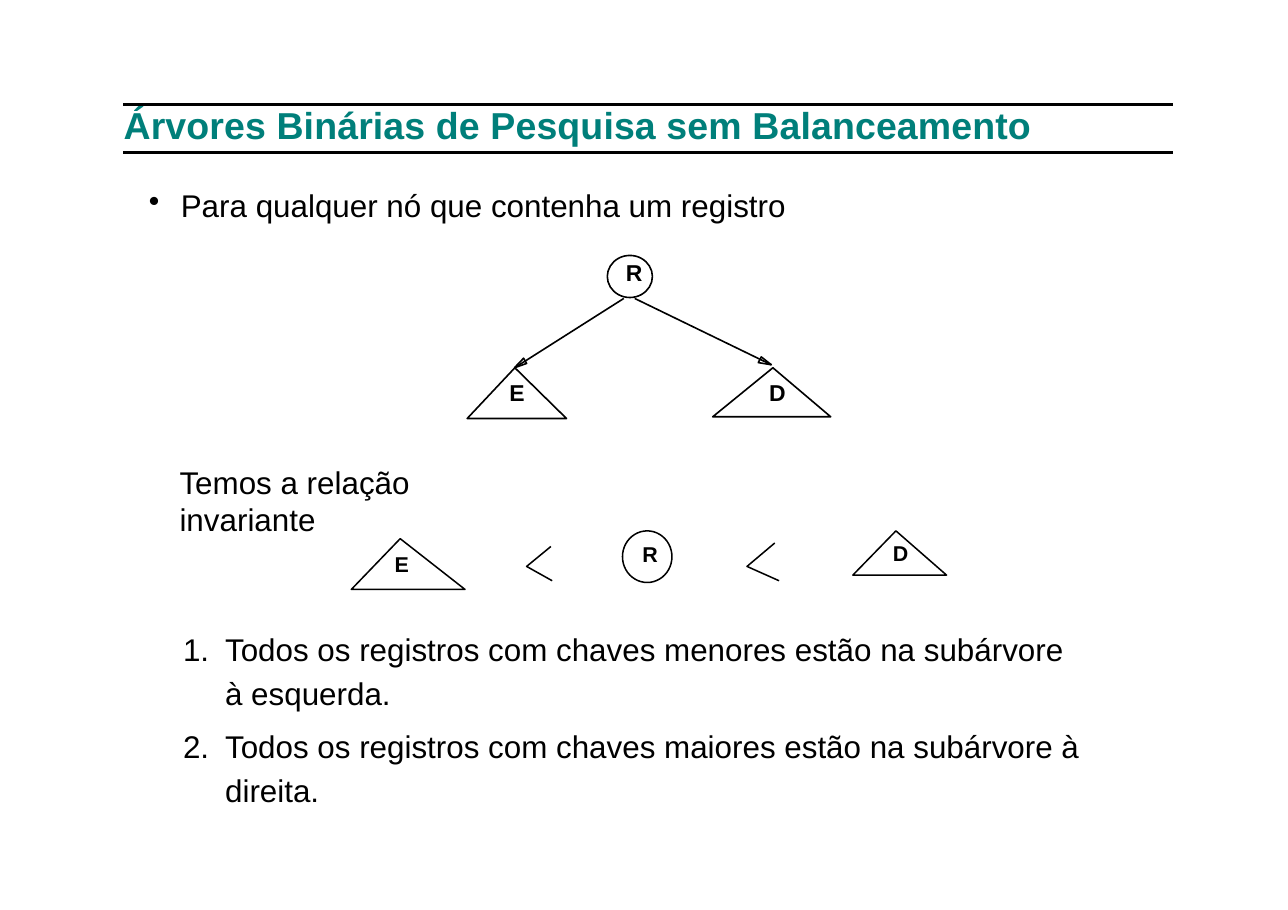
from lxml import etree
from pptx import Presentation
from pptx.dml.color import RGBColor
from pptx.enum.shapes import MSO_CONNECTOR as Connector, MSO_SHAPE as Shape
from pptx.enum.text import MSO_ANCHOR as Anchor, MSO_AUTO_SIZE as AutoSize, PP_ALIGN as Align
from pptx.oxml.ns import qn
from pptx.util import Cm, Pt

TITLE_COLOR = "007F7A"
INK = "000000"


def color(hex_code):
    return RGBColor.from_string(hex_code)


class SlideBuilder:
    font = "Arial"
    body_size = 20.5

    def __init__(self, presentation):
        self.slide = presentation.slides.add_slide(presentation.slide_layouts[5])
        self.shapes = self.slide.shapes

    def fill_text(self, shape, lines, size, hex_code=INK, bold=False):
        frame = shape.text_frame
        frame.margin_left = frame.margin_right = frame.margin_top = frame.margin_bottom = 0
        frame.word_wrap = True
        frame.auto_size = AutoSize.NONE
        frame.vertical_anchor = Anchor.TOP
        frame.text = "\n".join(lines)
        for paragraph in frame.paragraphs:
            paragraph.alignment = Align.LEFT
            for run in paragraph.runs:
                run.font.name = self.font
                run.font.size = Pt(size)
                run.font.bold = bold
                run.font.color.rgb = color(hex_code)
        return frame.paragraphs

    def title(self, text, left, top, width, height):
        shape = self.shapes.title
        shape.left, shape.top, shape.width, shape.height = map(Cm, (left, top, width, height))
        paragraphs = self.fill_text(shape, [text], 24.5, TITLE_COLOR, bold=True)
        paragraphs[0].runs[0]._r.get_or_add_rPr().set("spc", "10")

    def text(self, lines, left, top, width, height, size=body_size, bold=False):
        box = self.shapes.add_textbox(*map(Cm, (left, top, width, height)))
        return self.fill_text(box, lines, size, bold=bold)

    def bullets(self, paragraphs, tag, indent, hanging, **attributes):
        """Give paragraphs a hanging indent and the bullet element named by tag."""
        for paragraph in paragraphs:
            properties = paragraph._p.get_or_add_pPr()
            properties.set("marL", str(Cm(indent)))
            properties.set("indent", str(-Cm(hanging)))
            etree.SubElement(properties, qn(tag), attributes)

    def outline(self, shape, weight):
        shape.shadow.inherit = False
        shape.fill.background()
        shape.line.color.rgb = color(INK)
        shape.line.width = Pt(weight)

    def preset(self, kind, left, top, width, height, weight, apex=None):
        shape = self.shapes.add_shape(kind, *map(Cm, (left, top, width, height)))
        if apex is not None:
            shape.adjustments[0] = apex
        self.outline(shape, weight)

    def polyline(self, points, weight, close=False):
        start, *others = [(Cm(x), Cm(y)) for x, y in points]
        builder = self.shapes.build_freeform(*start)
        builder.add_line_segments(others, close=close)
        self.outline(builder.convert_to_shape(), weight)

    def line(self, start, end, weight):
        connector = self.shapes.add_connector(Connector.STRAIGHT, *map(Cm, (*start, *end)))
        connector.line.color.rgb = color(INK)
        connector.line.width = Pt(weight)
        etree.SubElement(connector._element.spPr, qn("a:effectLst"))

    def tree_parts(self, root, subtrees, labels, label_size, weight):
        """Draw the root circle, its two subtree triangles and their letters."""
        self.preset(Shape.OVAL, *root, weight)
        for *bounds, apex in subtrees:
            self.preset(Shape.ISOSCELES_TRIANGLE, *bounds, weight, apex)
        for letter, left, top in labels:
            self.text([letter], left, top, 0.6, 0.66, label_size, bold=True)


def main():
    presentation = Presentation()
    presentation.slide_width, presentation.slide_height = Cm(29.69), Cm(20.98)
    builder = SlideBuilder(presentation)

    for rule_y in (2.41, 3.51):
        builder.line((2.84, rule_y), (27.05, rule_y), 1.73)
    builder.title("Árvores Binárias de Pesquisa sem Balanceamento", 2.85, 2.36, 24.2, 1.1)

    intro = builder.text(["Para qualquer nó que contenha um registro"], 2.82, 4.3, 21, 0.9)
    builder.bullets(intro, "a:buChar", 1.35, 0.74, char="•")

    builder.tree_parts(
        root=(14, 5.89, 1.04, 0.97),
        subtrees=[(10.77, 8.48, 2.29, 1.17, 0.48), (16.43, 8.48, 2.72, 1.13, 0.51)],
        labels=[("R", 14.43, 5.97), ("E", 11.74, 8.74), ("D", 17.73, 8.74)],
        label_size=15, weight=1.06)
    branches = [
        ((14.38, 6.88), [(11.86, 8.48), (12.14, 8.38), (12.07, 8.26)]),
        ((14.63, 6.88), [(17.78, 8.41), (17.55, 8.23), (17.48, 8.36)]),
    ]
    for branch_start, arrowhead in branches:
        builder.line(branch_start, arrowhead[0], 1.06)
        builder.polyline(arrowhead, 1.06, close=True)

    builder.text(["Temos a relação invariante"], 4.14, 10.67, 8.3, 1.8)

    builder.tree_parts(
        root=(14.35, 12.24, 1.14, 1.19),
        subtrees=[(8.1, 12.42, 2.62, 1.17, 0.43), (19.66, 12.24, 2.16, 1.02, 0.46)],
        labels=[("E", 9.1, 12.7), ("R", 14.81, 12.47), ("D", 20.58, 12.45)],
        label_size=14, weight=1)
    for less_than in ([(12.7, 12.6), (12.14, 13.06), (12.73, 13.39)],
                      [(17.86, 12.52), (17.22, 13.06), (17.96, 13.39)]):
        builder.polyline(less_than, 1)

    rules = builder.text(
        [f"Todos os registros com chaves {size} estão na subárvore à {side}."
         for size, side in (("menores", "esquerda"), ("maiores", "direita"))],
        4.17, 14.38, 20.8, 4.3)
    for paragraph in rules:
        paragraph.line_spacing = 1.17
    rules[1].space_before = Pt(5.8)
    builder.bullets(rules, "a:buAutoNum", 1.02, 0.97, type="arabicPeriod")

    presentation.save("out.pptx")


if __name__ == "__main__":
    main()
